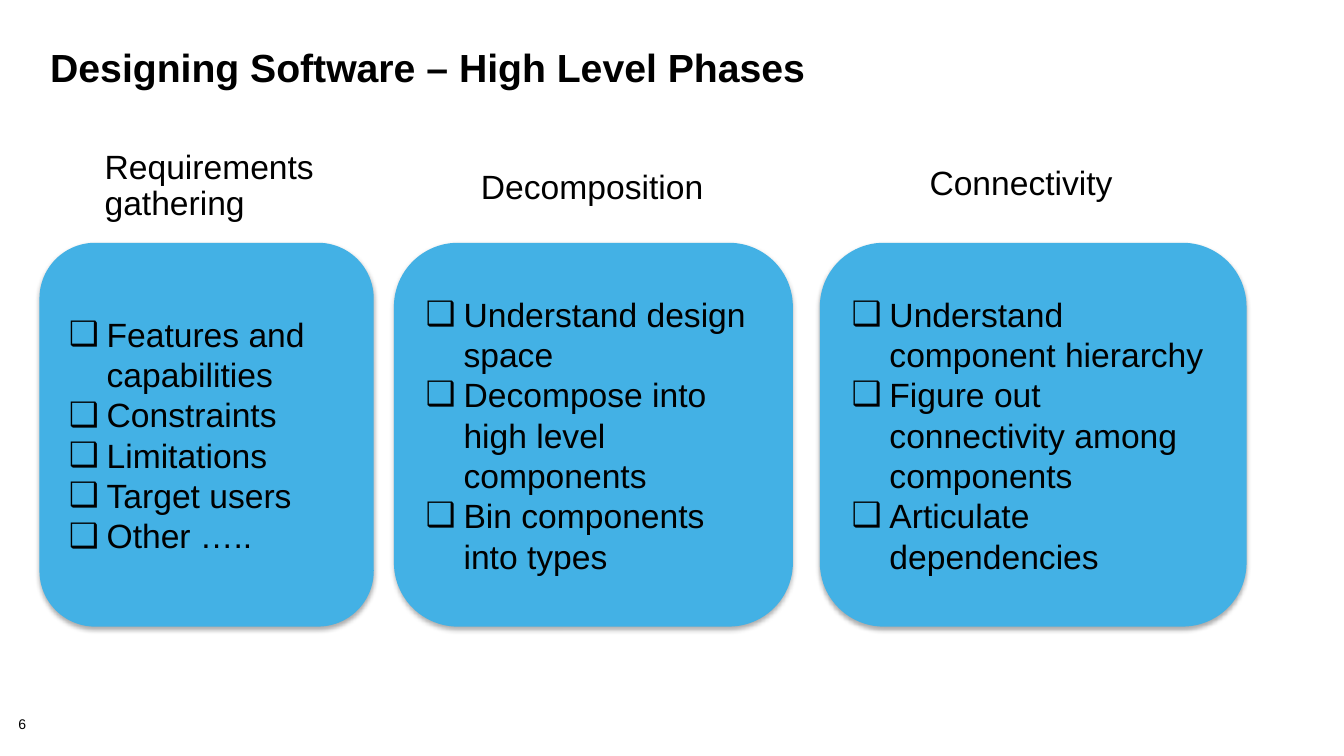
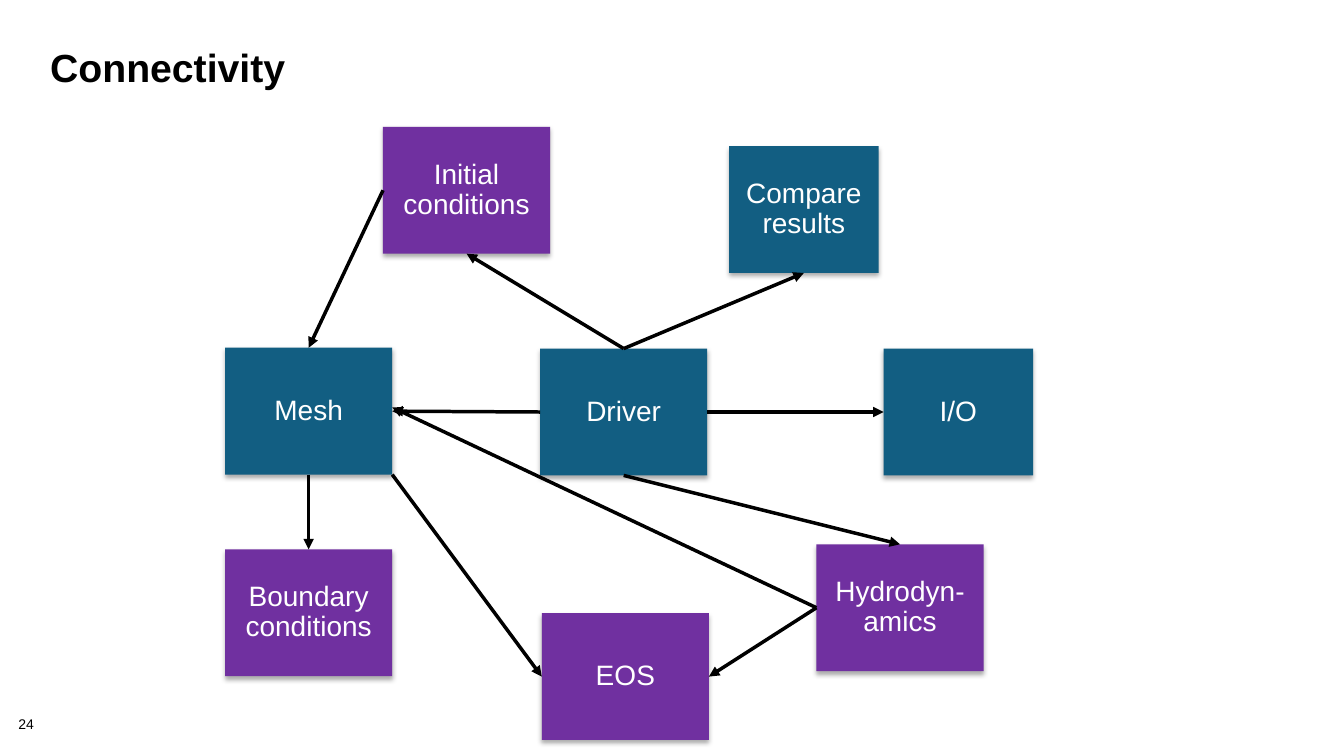
"""Build two slides on the phases of software design and on module connectivity."""
from dataclasses import dataclass
from enum import Enum
from typing import Optional

import lxml.etree
import pptx
import pptx.dml.color
import pptx.enum.shapes
import pptx.enum.text
import pptx.oxml.ns
import pptx.util

COLUMNS, ROWS = 160, 90
CELL = pptx.util.Inches(1) // 12
SHAPES = pptx.enum.shapes.MSO_SHAPE
ANCHOR = pptx.enum.text.MSO_ANCHOR
ALIGN = pptx.enum.text.PP_ALIGN


@dataclass(frozen=True)
class Theme:
    font: str = "Arial"
    ink: str = "000000"
    paper: str = "FFFFFF"
    sky: str = "43B1E5"
    teal: str = "125E82"
    purple: str = "7030A0"
    title_size: float = 28
    phase_size: float = 24
    module_size: float = 20
    number_size: float = 10
    link_width: float = 2.5
    shadow_alpha: int = 32
    shadow_blur: float = 3.5
    shadow_distance: float = 2.2


THEME = Theme()


@dataclass(frozen=True)
class Area:
    column: float
    row: float
    columns: float
    rows: float

    def emu(self) -> tuple[int, ...]:
        return tuple(grid(n) for n in (self.column, self.row, self.columns, self.rows))


@dataclass(frozen=True)
class TextStyle:
    size: float
    color: str = THEME.ink
    bold: bool = False
    spacing: float = 0.9
    align: ALIGN = ALIGN.LEFT
    anchor: ANCHOR = ANCHOR.TOP
    inset: tuple[float, float] = (0.13, 0.1)
    bullet: str = ""


@dataclass(frozen=True)
class Phase:
    heading: tuple[str, ...]
    heading_area: Area
    column: float
    columns: float
    steps: tuple[str, ...]


@dataclass(frozen=True)
class Module:
    label: str
    column: float
    row: float
    columns: float
    color: str


class Port(Enum):
    """A point on a module: share of width, share of height, connection site."""
    TOP = (0.5, 0, 0)
    LEFT = (0, 0.5, 1)
    BOTTOM = (0.5, 1, 2)
    RIGHT = (1, 0.5, 3)
    UPPER_RIGHT = (1, 0.47, None)
    CORNER = (1, 1, None)


@dataclass(frozen=True)
class Link:
    source: str
    exit: Port
    target: str
    entry: Port


TITLE_AREA = Area(4.8, 5.4, 149.3, 12)
NUMBER_AREA = Area(2.2, 85.4, 6.7, 1.9)
CARD_ROW, CARD_ROWS = 28.9, 45.7
MODULE_ROWS = 15.1
WIDE, NARROW = 19.9, 17.8

TITLE = TextStyle(THEME.title_size, bold=True, spacing=0.85, inset=(0.1, 0.05))
NUMBER = TextStyle(THEME.number_size, inset=(0, 0))
HEADING = TextStyle(THEME.phase_size)
STEPS = TextStyle(THEME.phase_size, spacing=1, anchor=ANCHOR.MIDDLE,
                  inset=(0.13, 0.07), bullet="❑")
LABEL = TextStyle(THEME.module_size, THEME.paper, align=ALIGN.CENTER,
                  anchor=ANCHOR.MIDDLE, inset=(0.13, 0.07))

PHASES = (
    Phase(("Requirements", "gathering"), Area(10.9, 16.7, 30, 12), 4.7, 39.8,
          ("Features and capabilities", "Constraints", "Limitations",
           "Target users", "Other …..")),
    Phase(("Decomposition",), Area(55.7, 19.1, 32, 7), 46.9, 47.5,
          ("Understand design space", "Decompose into high level components",
           "Bin components into types")),
    Phase(("Connectivity",), Area(109.1, 18.6, 28, 7), 97.6, 50.8,
          ("Understand component hierarchy",
           "Figure out connectivity among components",
           "Articulate dependencies")),
)

MODULES = (
    Module("Mesh", 26.8, 41.4, WIDE, THEME.teal),
    Module("I/O", 105.2, 41.5, NARROW, THEME.teal),
    Module("Compare results", 86.8, 17.4, NARROW, THEME.teal),
    Module("Initial conditions", 45.6, 15.1, WIDE, THEME.purple),
    Module("Boundary conditions", 26.8, 65.4, WIDE, THEME.purple),
    Module("Driver", 64.3, 41.5, WIDE, THEME.teal),
    Module("Hydrodyn-amics", 97.2, 64.8, WIDE, THEME.purple),
    Module("EOS", 64.5, 73, WIDE, THEME.purple),
)

LINKS = (
    Link("Driver", Port.RIGHT, "I/O", Port.LEFT),
    Link("Driver", Port.TOP, "Compare results", Port.BOTTOM),
    Link("Driver", Port.LEFT, "Mesh", Port.RIGHT),
    Link("Driver", Port.TOP, "Initial conditions", Port.BOTTOM),
    Link("Initial conditions", Port.LEFT, "Mesh", Port.TOP),
    Link("Driver", Port.BOTTOM, "Hydrodyn-amics", Port.TOP),
    Link("Mesh", Port.BOTTOM, "Boundary conditions", Port.TOP),
    Link("Hydrodyn-amics", Port.LEFT, "EOS", Port.RIGHT),
    Link("Mesh", Port.CORNER, "EOS", Port.LEFT),
    Link("Hydrodyn-amics", Port.LEFT, "Mesh", Port.UPPER_RIGHT),
)


def grid(cells: float) -> int:
    return round(cells * CELL)


def rgb(color: str) -> pptx.dml.color.RGBColor:
    return pptx.dml.color.RGBColor.from_string(color)


def add_element(parent, tag: str, **attributes: str):
    return lxml.etree.SubElement(parent, pptx.oxml.ns.qn(tag), attributes)


def add_bullet(paragraph, mark: str) -> None:
    properties = paragraph._p.get_or_add_pPr()
    hang = pptx.util.Inches(0.375)
    properties.set("marL", str(hang))
    properties.set("indent", str(-hang))
    add_element(properties, "a:buFont", typeface=THEME.font)
    add_element(properties, "a:buChar", char=mark)


def write(shape, lines: tuple[str, ...], style: TextStyle) -> None:
    frame = shape.text_frame
    frame.word_wrap = True
    frame.vertical_anchor = style.anchor
    across, down = (pptx.util.Inches(inset) for inset in style.inset)
    frame.margin_left = frame.margin_right = across
    frame.margin_top = frame.margin_bottom = down
    for index, line in enumerate(lines):
        paragraph = frame.add_paragraph() if index else frame.paragraphs[0]
        paragraph.alignment = style.align
        paragraph.line_spacing = style.spacing
        if style.bullet:
            add_bullet(paragraph, style.bullet)
        run = paragraph.add_run()
        run.text = line
        run.font.name = THEME.font
        run.font.size = pptx.util.Pt(style.size)
        run.font.bold = style.bold
        run.font.color.rgb = rgb(style.color)


def add_text(slide, area: Area, lines: tuple[str, ...], style: TextStyle) -> None:
    write(slide.shapes.add_textbox(*area.emu()), lines, style)


def add_panel(slide, outline: SHAPES, area: Area, color: str,
              lines: tuple[str, ...], style: TextStyle):
    panel = slide.shapes.add_shape(outline, *area.emu())
    panel.fill.solid()
    panel.fill.fore_color.rgb = rgb(color)
    panel.line.fill.background()
    panel.shadow.inherit = False
    effects = panel._element.spPr.find(pptx.oxml.ns.qn("a:effectLst"))
    shadow = add_element(effects, "a:outerShdw",
                         blurRad=str(pptx.util.Pt(THEME.shadow_blur)),
                         dist=str(pptx.util.Pt(THEME.shadow_distance)),
                         dir=str(90 * 60000), rotWithShape="0")
    tint = add_element(shadow, "a:srgbClr", val=THEME.ink)
    add_element(tint, "a:alpha", val=str(THEME.shadow_alpha * 1000))
    write(panel, lines, style)
    return panel


def port_position(panel, port: Port) -> tuple[int, int]:
    across, down, _ = port.value
    return (round(panel.left + across * panel.width),
            round(panel.top + down * panel.height))


def add_link(slide, source, target, link: Link) -> None:
    arrow = slide.shapes.add_connector(
        pptx.enum.shapes.MSO_CONNECTOR.STRAIGHT,
        *port_position(source, link.exit), *port_position(target, link.entry))
    ends = ((arrow.begin_connect, source, link.exit),
            (arrow.end_connect, target, link.entry))
    for connect, panel, port in ends:
        site: Optional[int] = port.value[2]
        if site is not None:
            connect(panel, site)
    arrow.line.width = pptx.util.Pt(THEME.link_width)
    arrow.line.color.rgb = rgb(THEME.ink)
    properties = arrow._element.spPr
    add_element(properties.find(pptx.oxml.ns.qn("a:ln")), "a:tailEnd", type="triangle")
    add_element(properties, "a:effectLst")


def add_slide(deck, title: str, number: int):
    slide = deck.slides.add_slide(deck.slide_layouts[6])
    slide.background.fill.solid()
    slide.background.fill.fore_color.rgb = rgb(THEME.paper)
    add_text(slide, NUMBER_AREA, (str(number),), NUMBER)
    add_text(slide, TITLE_AREA, (title,), TITLE)
    return slide


def build_phases(deck) -> None:
    slide = add_slide(deck, "Designing Software – High Level Phases", 6)
    for phase in PHASES:
        card = Area(phase.column, CARD_ROW, phase.columns, CARD_ROWS)
        add_panel(slide, SHAPES.ROUNDED_RECTANGLE, card, THEME.sky, phase.steps, STEPS)
        add_text(slide, phase.heading_area, phase.heading, HEADING)


def build_connectivity(deck) -> None:
    slide = add_slide(deck, "Connectivity", 24)
    panels = {}
    for module in MODULES:
        area = Area(module.column, module.row, module.columns, MODULE_ROWS)
        panels[module.label] = add_panel(slide, SHAPES.RECTANGLE, area, module.color,
                                         (module.label,), LABEL)
    for link in LINKS:
        add_link(slide, panels[link.source], panels[link.target], link)


def main() -> None:
    deck = pptx.Presentation()
    deck.slide_width = grid(COLUMNS)
    deck.slide_height = grid(ROWS)
    build_phases(deck)
    build_connectivity(deck)
    deck.save("out.pptx")


if __name__ == "__main__":
    main()
